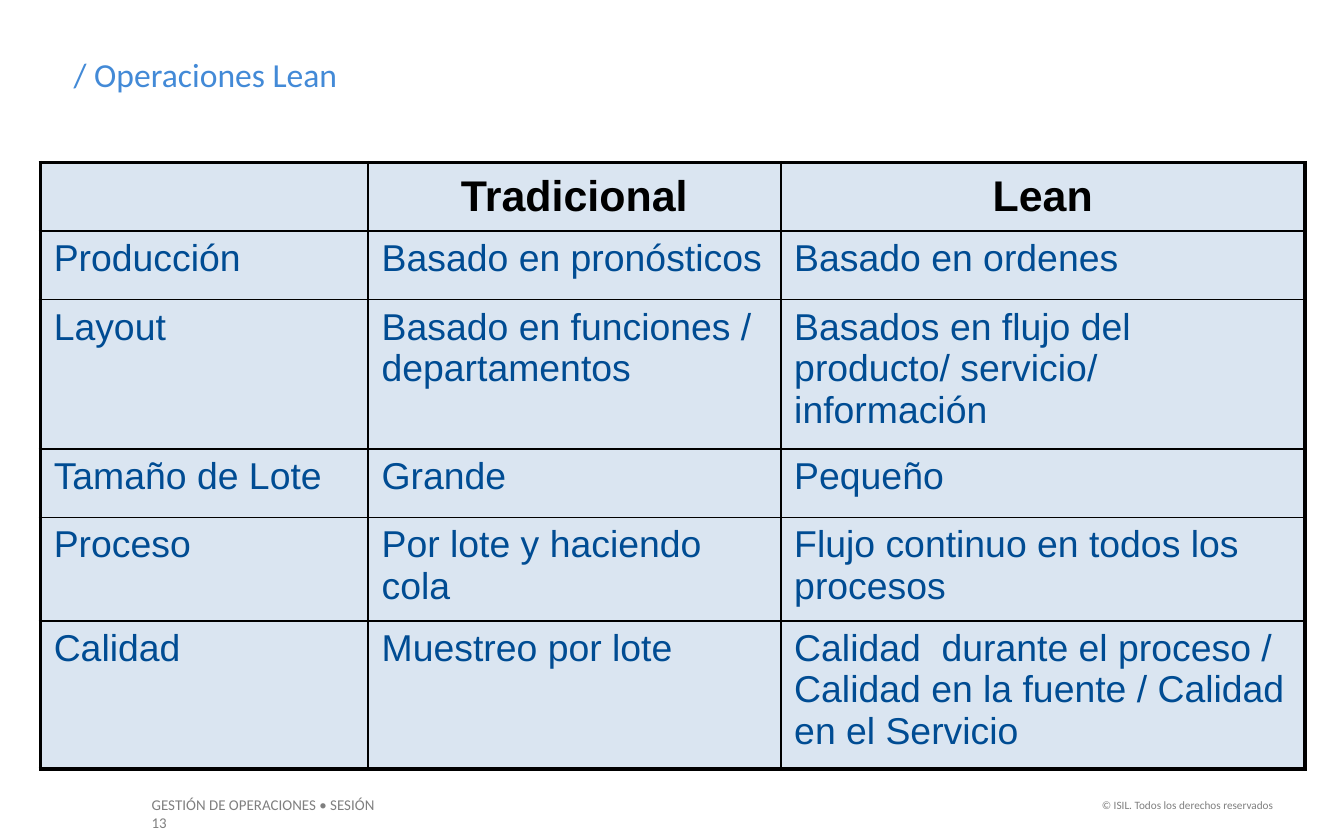
from pptx import Presentation
from pptx.dml.color import RGBColor
from pptx.enum.text import MSO_ANCHOR as Anchor, PP_ALIGN as Align
from pptx.oxml import parse_xml
from pptx.oxml.ns import nsdecls
from pptx.util import Inches, Pt


def write(frame, text, size, font, color, align=Align.LEFT, bold=False):
    para = frame.paragraphs[0]
    para.alignment = align
    run = para.add_run()
    run.text = text
    run.font.size = Pt(size)
    run.font.name = font
    run.font.bold = bold
    run.font.color.rgb = RGBColor.from_string(color)


def edge(cell, side, width):
    cell._tc.get_or_add_tcPr().append(parse_xml(
        f'<a:ln{side} {nsdecls("a")} w="{Pt(width)}"><a:solidFill>'
        f'<a:srgbClr val="000000"/></a:solidFill></a:ln{side}>'))


prs = Presentation()
prs.slide_width, prs.slide_height = Inches(10), Inches(6.25)
slide = prs.slides.add_slide(prs.slide_layouts[6])

# Footer and title
labels = [
    (1.03, 5.87, 1.95, 0.24, "GESTIÓN DE OPERACIONES • SESIÓN 13", 8, "7F7F7F", Align.LEFT),
    (8.03, 5.89, 1.54, 0.2, "© ISIL. Todos los derechos reservados", 6, "7F7F7F", Align.RIGHT),
    (0.45, 0.35, 7.88, 0.4, "/ Operaciones Lean", 18, "438AD7", Align.LEFT),
]
for left, top, width, height, text, size, color, align in labels:
    box = slide.shapes.add_textbox(Inches(left), Inches(top), Inches(width), Inches(height))
    box.text_frame.word_wrap = True
    write(box.text_frame, text, size, "Calibri", color, align)

# Comparison table
rows = [
    ("", "Tradicional", "Lean"),
    ("Producción", "Basado en pronósticos", "Basado en ordenes"),
    ("Layout", "Basado en funciones / departamentos",
     "Basados en flujo del producto/ servicio/ información"),
    ("Tamaño de Lote", "Grande", "Pequeño"),
    ("Proceso", "Por lote y haciendo cola", "Flujo continuo en todos los procesos"),
    ("Calidad", "Muestreo por lote",
     "Calidad  durante el proceso / Calidad en la fuente / Calidad en el Servicio"),
]
widths = [2.44, 3.07, 3.9]
heights = [0.51, 0.51, 1.11, 0.51, 0.77, 1.1]
table = slide.shapes.add_table(
    len(rows), len(widths), Inches(0.3), Inches(1.21),
    Inches(sum(widths)), Inches(sum(heights))).table
table.horz_banding = False
for col, width in zip(table.columns, widths):
    col.width = Inches(width)
for row, height in zip(table.rows, heights):
    row.height = Inches(height)

# Cells: thick outer frame, thin inner lines
for r, row in enumerate(rows):
    for c, text in enumerate(row):
        cell = table.cell(r, c)
        outer = {"L": c == 0, "R": c == len(widths) - 1,
                 "T": r == 0, "B": r == len(rows) - 1}
        for side, thick in outer.items():
            edge(cell, side, 2.25 if thick else 1)
        cell.fill.solid()
        cell.fill.fore_color.rgb = RGBColor.from_string("DAE5F1")
        if r == 0:
            cell.vertical_anchor = Anchor.MIDDLE
        if text and r == 0:
            write(cell.text_frame, text, 23, "Arial", "000000", Align.CENTER, True)
        elif text:
            write(cell.text_frame, text, 20, "Arial", "004C93")

prs.save("out.pptx")
